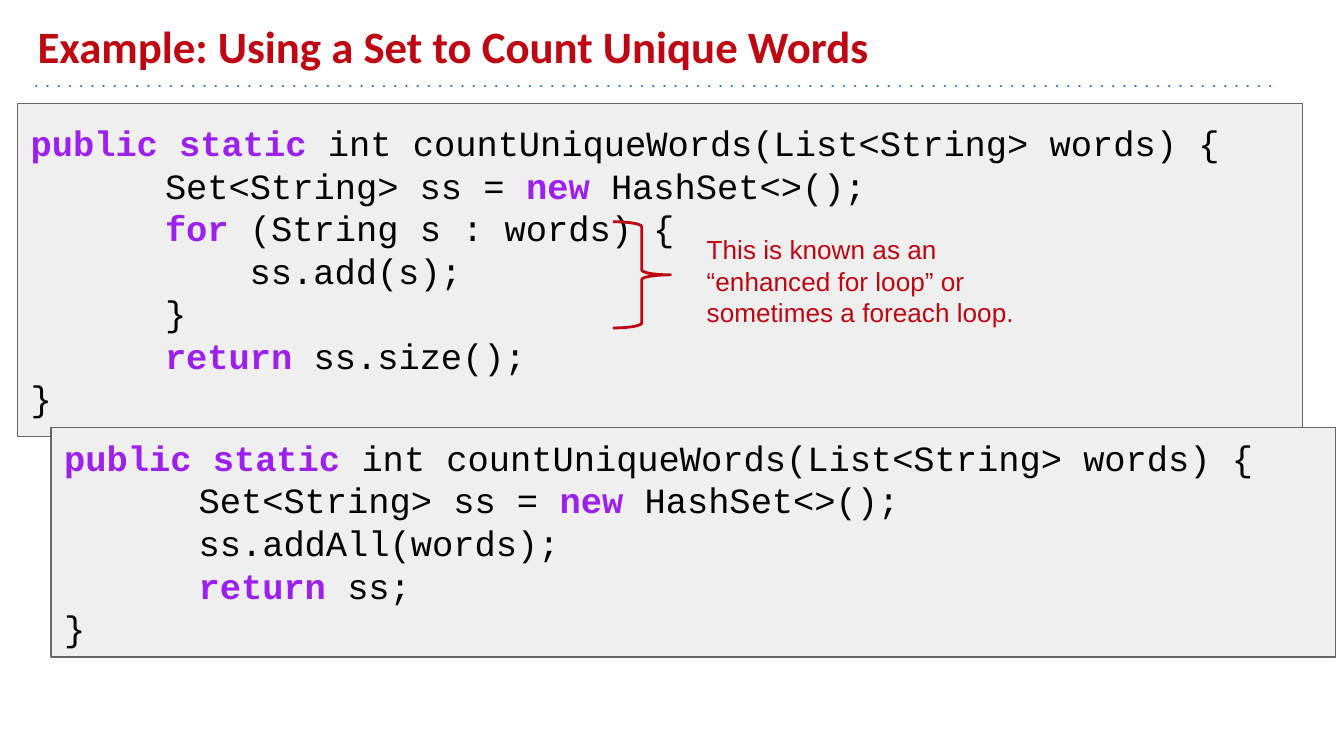
from lxml.etree import SubElement
from pptx import Presentation
from pptx.dml.color import RGBColor
from pptx.enum.shapes import MSO_CONNECTOR, MSO_SHAPE as Shape
from pptx.enum.text import MSO_ANCHOR as Anchor, MSO_AUTO_SIZE as AutoSize, PP_ALIGN as Align
from pptx.oxml.ns import qn
from pptx.util import Inches, Pt

RED = RGBColor(0xBE, 0x07, 0x12)
BLUE = RGBColor(0x10, 0x72, 0xBD)
PURPLE = RGBColor(0x9C, 0x20, 0xEE)
BLACK = RGBColor(0, 0, 0)
PANEL = RGBColor(0xEF, 0xEF, 0xEF)
BORDER = RGBColor(0x66, 0x66, 0x66)

WIDTH = Inches(10)
HEIGHT = WIDTH * 9 // 16
TAB = Inches(1)
NESTED = TAB + Inches(0.63)

TITLE = {"name": "Calibri", "size": Pt(24), "bold": True}
NOTE = {"name": "Arial", "size": Pt(14), "bold": False}
PLAIN = {"name": "Courier New", "size": Pt(19), "bold": False}
KEYWORD = {**PLAIN, "bold": True}

OPENING = [
    (0, "|public static| int countUniqueWords(List<String> words) {"),
    (TAB, "Set<String> ss = |new| HashSet<>();"),
]
LOOP_CODE = OPENING + [
    (TAB, "|for| (String s : words) {"),
    (NESTED, "ss.add(s);"),
    (TAB, "}"),
    (TAB, "|return| ss.size();"),
    (0, "}"),
]
ADD_ALL_CODE = OPENING + [
    (TAB, "ss.addAll(words);"),
    (TAB, "|return| ss;"),
    (0, "}"),
]


def inches(*lengths):
    return [Inches(length) for length in lengths]


def add_span(para, text, style, color):
    span = para.add_run()
    span.text = text
    for name, value in style.items():
        setattr(span.font, name, value)
    span.font.color.rgb = color


def format_frame(frame, anchor):
    margins = {f"margin_{side}": Inches(0.1) for side in ("left", "right", "top", "bottom")}
    settings = {"word_wrap": True, "auto_size": AutoSize.NONE, "vertical_anchor": anchor}
    for name, value in {**margins, **settings}.items():
        setattr(frame, name, value)


def add_heading(page, box, text):
    title = page.shapes.title
    title.left, title.top, title.width, title.height = box
    format_frame(title.text_frame, Anchor.BOTTOM)
    para = title.text_frame.paragraphs[0]
    para.alignment = Align.LEFT
    add_span(para, text, TITLE, RED)

    left, top, width, height = box
    rule_left, rule_top = left + Inches(0.09), top + height
    rule = page.shapes.add_connector(
        MSO_CONNECTOR.STRAIGHT, rule_left, rule_top, rule_left + Inches(9.23), rule_top)
    rule.line.color.rgb = BLUE
    rule.line.width = Pt(1.5)
    outline = rule.line._get_or_add_ln()
    outline.set("cap", "rnd")
    SubElement(outline, qn("a:prstDash")).set("val", "dot")
    SubElement(rule._element.spPr, qn("a:effectLst"))


def add_code_panel(page, box, code):
    panel = page.shapes.add_shape(Shape.RECTANGLE, *box)
    panel.shadow.inherit = False
    panel.fill.solid()
    panel.fill.fore_color.rgb = PANEL
    panel.line.color.rgb = BORDER
    panel.line.width = Pt(0.75)
    frame = panel.text_frame
    format_frame(frame, Anchor.MIDDLE)
    for row, (indent, text) in enumerate(code):
        para = frame.add_paragraph() if row else frame.paragraphs[0]
        para.alignment = Align.LEFT
        para._p.get_or_add_pPr().set("marL", str(indent))
        for index, part in enumerate(text.split("|")):
            if part:
                style, color = (KEYWORD, PURPLE) if index % 2 else (PLAIN, BLACK)
                add_span(para, part, style, color)


def add_brace_note(page, box, text):
    left, top, width, height = box
    brace = page.shapes.add_shape(Shape.RIGHT_BRACE, left, top, *inches(0.43, 0.79))
    brace.shadow.inherit = False
    brace.fill.background()
    brace.line.color.rgb = RED
    brace.line.width = Pt(1.5)

    offset = Inches(0.6)
    note = page.shapes.add_textbox(left + offset, top - Inches(0.01), width - offset, height)
    format_frame(note.text_frame, Anchor.TOP)
    add_span(note.text_frame.paragraphs[0], text, NOTE, RED)


def main():
    deck = Presentation()
    deck.slide_width, deck.slide_height = WIDTH, HEIGHT
    page = deck.slides.add_slide(deck.slide_layouts[5])
    add_heading(page, inches(0.18, 0.1, 9, 0.54), "Example: Using a Set to Count Unique Words")
    add_code_panel(page, inches(0.13, 0.77, 9.56, 2.48), LOOP_CODE)
    add_brace_note(page, inches(4.56, 1.65, 3.25, 0.94),
                   "This is known as an “enhanced for loop” or sometimes a foreach loop.")
    add_code_panel(page, inches(0.38, 3.18, 9.56, 1.71), ADD_ALL_CODE)
    deck.save("out.pptx")


if __name__ == "__main__":
    main()
